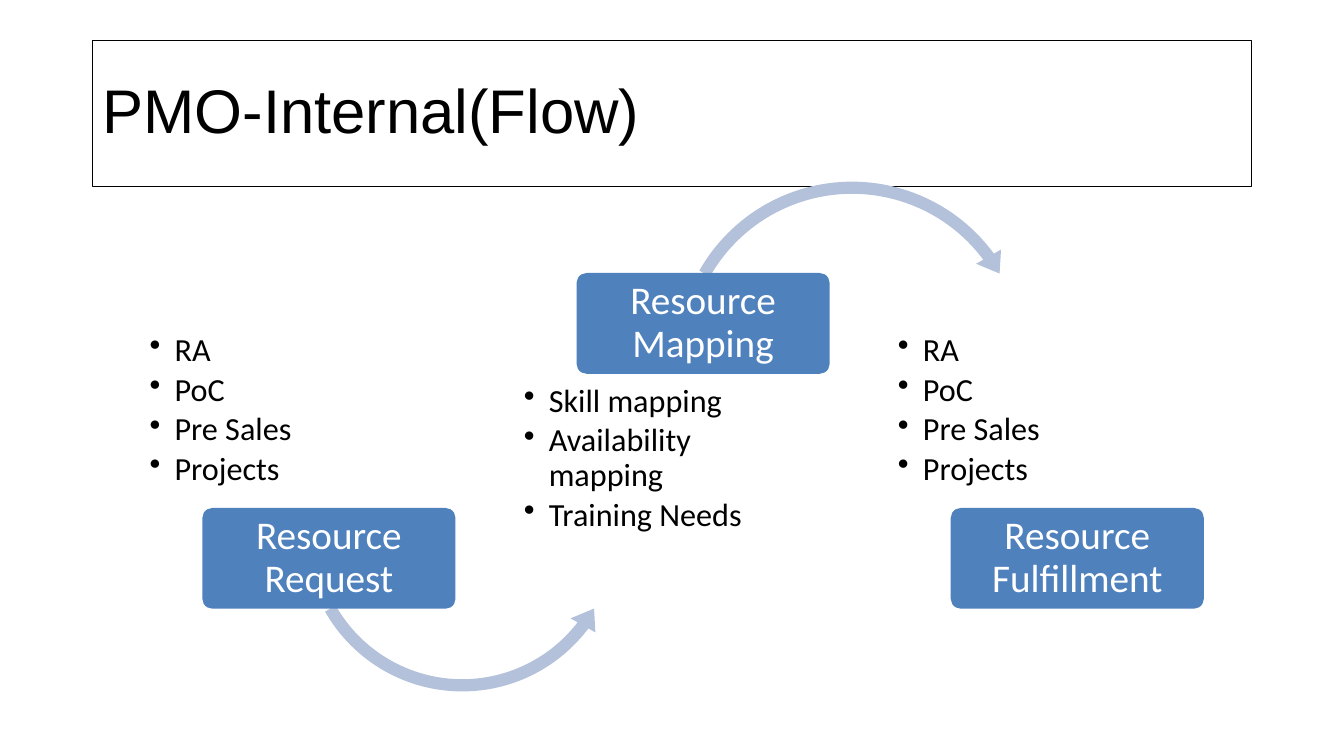
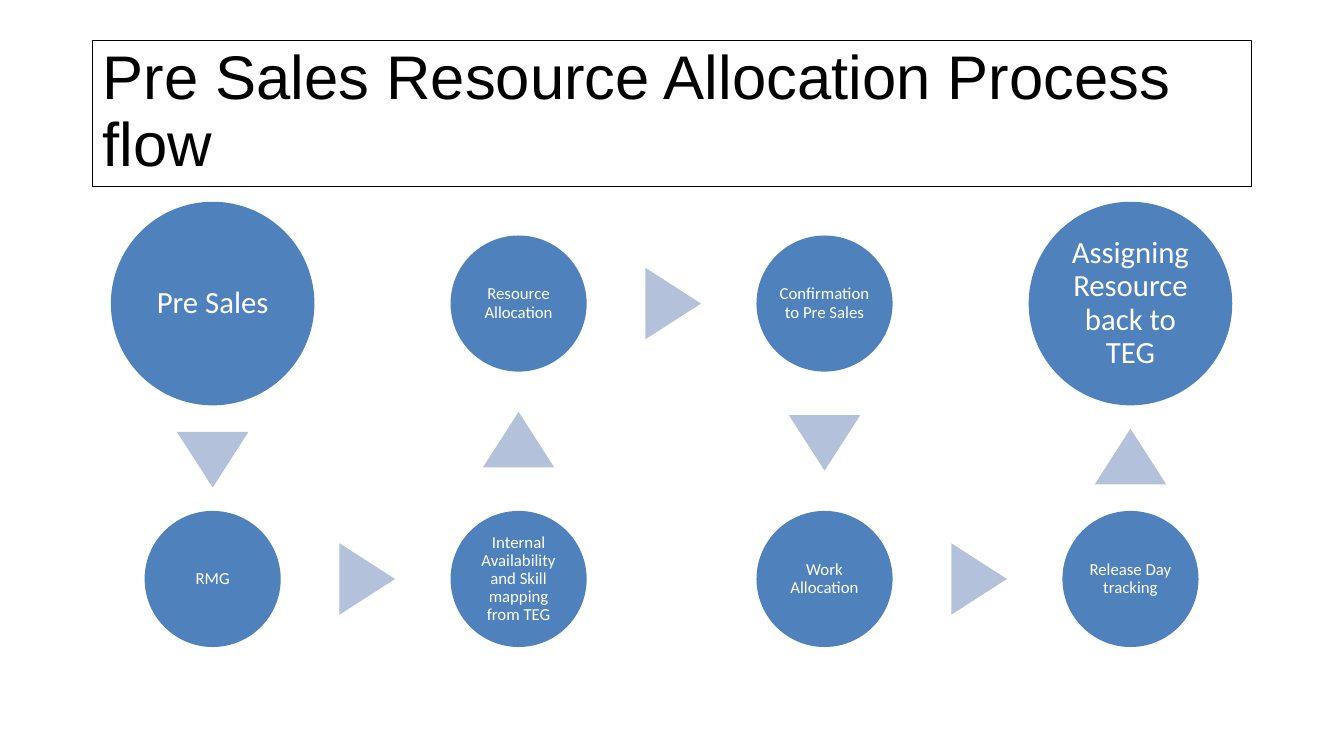
from itertools import pairwise
from lxml import etree
from pptx import Presentation
from pptx.dml.color import RGBColor
from pptx.enum.shapes import MSO_SHAPE
from pptx.enum.text import MSO_ANCHOR, MSO_AUTO_SIZE, PP_ALIGN
from pptx.oxml.ns import qn
from pptx.util import Cm, Pt

ROUNDED, CIRCLE = MSO_SHAPE.ROUNDED_RECTANGLE, MSO_SHAPE.OVAL
TRIANGLE = MSO_SHAPE.ISOSCELES_TRIANGLE
LEFT, CENTER = PP_ALIGN.LEFT, PP_ALIGN.CENTER
TOP, MIDDLE = MSO_ANCHOR.TOP, MSO_ANCHOR.MIDDLE

COLORS = {"ink": "000000", "light": "FFFFFF", "step": "4F81BD", "arrow": "B3C1DB"}
TITLE_FONT, BODY_FONT = "Arial", "Calibri"
TITLE_ONLY = 5

# Internal flow: step name, list, and whether the step box sits above its list
KINDS = ["RA", "PoC", "Pre Sales", "Projects"]
FLOW_TITLE = "PMO-Internal(Flow)"
FLOW_STEPS = [
    ("Resource Request", KINDS, False),
    ("Resource Mapping", ["Skill mapping", "Availability mapping", "Training Needs"], True),
    ("Resource Fulfillment", KINDS, False),
]
# Curved arrows: shape, left, top, size in cm, adjustments
CURVES = [
    (MSO_SHAPE.LEFT_CIRCULAR_ARROW, 7.47, 9.27, 8.36, (0.037, 4.574, 22.329, 90.245, 0.043)),
    (MSO_SHAPE.CIRCULAR_ARROW, 16.84, 4.37, 9.27, (0.033, 4.086, 194.159, 125.755, 0.039)),
]
STEP_LEFT, STEP_PITCH, STEP_SIZE = 5.1, 9.43, (6.38, 2.54)
STEP_TOP = {True: 6.88, False: 12.8}
LIST_SHIFT, LIST_SIZE = -1.46, (6.91, 4.37)
LIST_TOP = {True: 9.56, False: 8.28}

# Allocation process: text, column, row, in order of the flow
PROCESS_TITLE = "Pre Sales Resource Allocation Process flow"
PROCESS_NODES = [
    ("Pre Sales", 0, 0),
    ("RMG", 0, 1),
    ("Internal Availability and Skill mapping from TEG", 1, 1),
    ("Resource Allocation", 1, 0),
    ("Confirmation to Pre Sales", 2, 0),
    ("Work Allocation", 2, 1),
    ("Release Day tracking", 3, 1),
    ("Assigning Resource back to TEG", 3, 0),
]
COLUMN_START, COLUMN_PITCH = 5.36, 7.71
ROW_CENTERS = (7.65, 14.59)
END_NODE, INNER_NODE = (5.13, 22), (3.43, 12)  # diameter, text size
POINTER_SIZE, POINTER_SHIFT = (1.8, 1.4), 0.04
POINTER_TURN = {(1, 0): 90, (0, 1): 180, (0, -1): 0}


def lengths(*values):
    return [Cm(value) for value in values]


def write(frame, lines, size, color, font=BODY_FONT, align=LEFT, anchor=MIDDLE,
          insets=None, after=0, bullets=False):
    """Fill a text frame, one paragraph per line."""
    frame.word_wrap = True
    frame.auto_size = MSO_AUTO_SIZE.NONE
    frame.vertical_anchor = anchor
    if insets:
        across, down = lengths(*insets)
        frame.margin_left = frame.margin_right = across
        frame.margin_top = frame.margin_bottom = down
    for number, line in enumerate(lines):
        para = frame.add_paragraph() if number else frame.paragraphs[0]
        para.alignment, para.line_spacing = align, 0.9
        para.space_before, para.space_after = Pt(0), Pt(after)
        if bullets:
            properties = para._p.get_or_add_pPr()
            properties.set("marL", str(Cm(0.63)))
            properties.set("indent", str(Cm(-0.63)))
            etree.SubElement(properties, qn("a:buChar")).set("char", "•")
        span = para.add_run()
        span.text = line
        span.font.name, span.font.size = font, Pt(size)
        span.font.color.rgb = RGBColor.from_string(COLORS[color])


def add_filled(page, kind, left, top, width, height, color):
    shape = page.shapes.add_shape(kind, *lengths(left, top, width, height))
    shape.shadow.inherit = False
    shape.fill.solid()
    shape.fill.fore_color.rgb = RGBColor.from_string(COLORS[color])
    shape.line.fill.background()
    return shape


def add_page(deck, title):
    page = deck.slides.add_slide(deck.slide_layouts[TITLE_ONLY])
    box = page.shapes.title
    box.left, box.top, box.width, box.height = lengths(2.33, 1.01, 29.21, 3.68)
    box.line.color.rgb = RGBColor.from_string(COLORS["ink"])
    box.line.width = Pt(0.75)
    write(box.text_frame, [title], 44, "ink", TITLE_FONT)
    return page


def build_flow(deck):
    page = add_page(deck, FLOW_TITLE)
    for kind, left, top, size, adjustments in CURVES:
        curve = add_filled(page, kind, left, top, size, size, "arrow")
        for number, value in enumerate(adjustments):
            curve.adjustments[number] = value
    for column, (name, items, above) in enumerate(FLOW_STEPS):
        left = STEP_LEFT + column * STEP_PITCH
        step = add_filled(page, ROUNDED, left, STEP_TOP[above], *STEP_SIZE, "step")
        step.adjustments[0] = 0.1
        write(step.text_frame, [name], 28, "light", align=CENTER, insets=(0.15, 0.1))
        box = page.shapes.add_textbox(
            *lengths(left + LIST_SHIFT, LIST_TOP[above], *LIST_SIZE))
        write(box.text_frame, items, 23, "ink", anchor=TOP,
              insets=(0.13, 0.13), after=3.5, bullets=True)


def build_process(deck):
    page = add_page(deck, PROCESS_TITLE)
    last = len(PROCESS_NODES) - 1
    circles = []
    for number, (text, column, row) in enumerate(PROCESS_NODES):
        diameter, size = END_NODE if number in (0, last) else INNER_NODE
        x, y = COLUMN_START + column * COLUMN_PITCH, ROW_CENTERS[row]
        node = add_filled(page, CIRCLE, x - diameter / 2, y - diameter / 2,
                          diameter, diameter, "step")
        write(node.text_frame, [text], size, "light", align=CENTER, insets=(0.05, 0.05))
        circles.append((column, row, x, y, diameter / 2))

    width, height = POINTER_SIZE
    for start, end in pairwise(circles):
        column, row, x, y, radius = start
        next_column, next_row, next_x, next_y, next_radius = end
        across, down = next_column - column, next_row - row
        # Middle of the gap between the two circle edges, nudged along the flow
        shift = (radius - next_radius) / 2 + POINTER_SHIFT
        middle_x = (x + next_x) / 2 + across * shift
        middle_y = (y + next_y) / 2 + down * shift
        pointer = add_filled(page, TRIANGLE, middle_x - width / 2,
                             middle_y - height / 2, width, height, "arrow")
        pointer.rotation = POINTER_TURN[across, down]


def main():
    deck = Presentation()
    deck.slide_width, deck.slide_height = lengths(33.87, 19.05)
    build_flow(deck)
    build_process(deck)
    deck.save("out.pptx")


if __name__ == "__main__":
    main()
